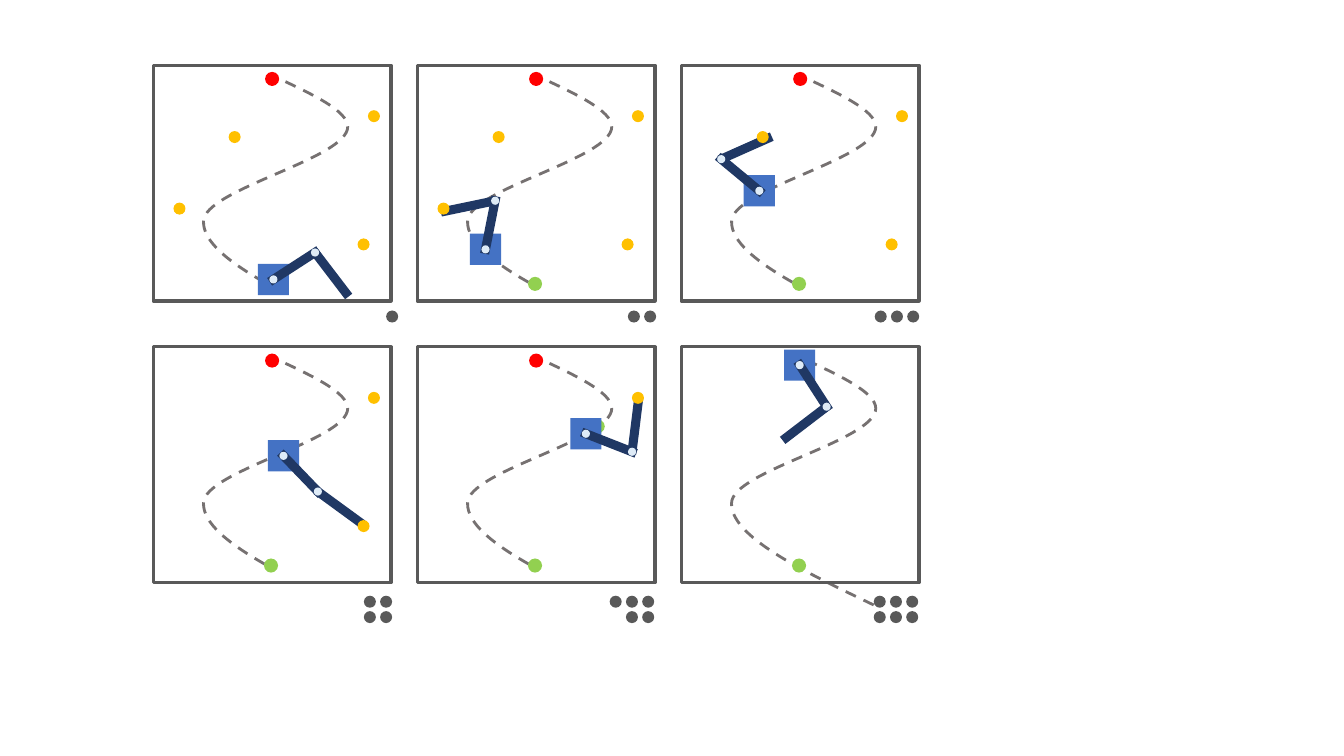
"""Build a slide of six frames in which a mobile arm collects goals along a track."""
import dataclasses
import math
import typing

import lxml.etree
import pptx
import pptx.dml.color
import pptx.enum.dml
import pptx.enum.shapes
import pptx.oxml.ns
import pptx.shapes.autoshape
import pptx.shapes.shapetree
import pptx.util

Pt = pptx.util.Pt
Kind = pptx.enum.shapes.MSO_SHAPE
Point = typing.Tuple[float, float]
Tree = pptx.shapes.shapetree.SlideShapes
Shape = pptx.shapes.autoshape.Shape


@dataclasses.dataclass(frozen=True)
class Theme:
    frame: str = "595959"
    track: str = "767171"
    start: str = "92D050"
    end: str = "FF0000"
    goal: str = "FFC000"
    base: str = "4472C4"
    arm: str = "203864"
    joint: str = "DEEBF7"


@dataclasses.dataclass(frozen=True)
class Panel:
    col: int
    row: int
    base: Point
    upper: float
    lower: float
    goals: str
    tally: typing.Tuple[int, ...]
    corner: Point
    starts: typing.Tuple[Point, ...]
    ends: typing.Tuple[Point, ...]
    head: typing.Tuple[Point, ...]

    def place(self, spot: Point) -> Point:
        return 109.4 + 188.6 * self.col + spot[0], 46.6 + 201.2 * self.row + spot[1]


THEME = Theme()
START, END = (84.2, 156.2), (85, 9.8)
GOALS = {"A": (18.8, 102.4), "B": (58.2, 51.3), "C": (157.7, 36.4), "D": (150.3, 128)}
SHORT = ((79.5, 155), (53.8, 140.4), (35.6, 125.9))
LONG = ((137.5, 184.3), (86.4, 159.8), (35.3, 135.4))
TAIL = ((36, 111.6), (36, 88.6), (139, 67), (139, 43.9),
        (139, 32.4), (113.1, 20.4), (87.2, 8.3))
FRAME = (169.9, 168.5)
BASE, BAR, JOINT, MARK, DOT = 22.3, 6.5, 5.8, 10.1, 8.6
STEP, DROP = 11.6, 11

PANELS = (
    Panel(0, 0, (85.9, 153), 327.1, 52.6, "ABCD", (1,), (170.7, 179.5), (), (END,), SHORT),
    Panel(1, 0, (48.8, 131.5), 281.2, 168.2, "ABCD", (2,), (166.4, 179.5),
          (START,), (END,), SHORT),
    Panel(2, 0, (55.8, 89.7), 219.7, 336, "BCD", (3,), (165.7, 179.5),
          (START,), (END,), SHORT),
    Panel(0, 1, (93.1, 77.8), 46.1, 36.1, "CD", (2, 2), (166.4, 182),
          (START,), (END,), SHORT),
    Panel(1, 1, (120.5, 62), 21.4, 277.1, "C", (3, 2), (165, 182),
          (START, (129, 56.8)), (END,), SHORT),
    Panel(2, 1, (84.6, 13), 57.1, 142.6, "", (3, 3), (165, 182), (START,), (), LONG),
)


def tint(code: str) -> pptx.dml.color.RGBColor:
    return pptx.dml.color.RGBColor.from_string(code)


def draw(tree: Tree, kind: Kind, mid: Point, size: Point, fill: str, turn: float = 0) -> Shape:
    left, top = mid[0] - size[0] / 2, mid[1] - size[1] / 2
    shape = tree.add_shape(kind, Pt(left), Pt(top), Pt(size[0]), Pt(size[1]))
    shape.shadow.inherit = False
    shape.rotation = turn
    shape.fill.solid()
    shape.fill.fore_color.rgb = tint(fill)
    shape.line.fill.background()
    return shape


def disc(tree: Tree, mid: Point, size: float, fill: str) -> None:
    draw(tree, Kind.OVAL, mid, (size, size), fill)


def outline(shape: Shape, code: str, width: float) -> None:
    shape.shadow.inherit = False
    shape.fill.background()
    shape.line.color.rgb = tint(code)
    shape.line.width = Pt(width)


def curve(shape: Shape) -> None:
    steps = shape._element.findall(".//" + pptx.oxml.ns.qn("a:lnTo"))
    for first in range(0, len(steps), 3):
        bend = lxml.etree.Element(pptx.oxml.ns.qn("a:cubicBezTo"))
        steps[first].addprevious(bend)
        for step in steps[first:first + 3]:
            bend.append(step[0])
            step.getparent().remove(step)


def track(tree: Tree, panel: Panel) -> None:
    first, *rest = [tuple(Pt(n) for n in panel.place(spot)) for spot in panel.head + TAIL]
    pen = tree.build_freeform(*first)
    pen.add_line_segments(rest, close=False)
    shape = pen.convert_to_shape()
    curve(shape)
    outline(shape, THEME.track, 2)
    shape.line.dash_style = pptx.enum.dml.MSO_LINE.DASH


def move(spot: Point, turn: float, reach: float) -> Point:
    angle = math.radians(turn)
    return spot[0] + reach * math.cos(angle), spot[1] + reach * math.sin(angle)


def robot(tree: Tree, panel: Panel) -> None:
    base = panel.place(panel.base)
    elbow = move(base, panel.upper, 35.4)
    draw(tree, Kind.RECTANGLE, base, (BASE, BASE), THEME.base)
    draw(tree, Kind.RECTANGLE, move(base, panel.upper, 17.7), (41.8, BAR),
         THEME.arm, panel.upper)
    disc(tree, base, JOINT, THEME.joint)
    draw(tree, Kind.RECTANGLE, move(elbow, panel.lower, 19.1), (41, BAR),
         THEME.arm, panel.lower)
    disc(tree, elbow, JOINT, THEME.joint)


def scene(tree: Tree, panel: Panel) -> None:
    left, top = panel.place((0, 0))
    mid = left + FRAME[0] / 2, top + FRAME[1] / 2
    outline(draw(tree, Kind.RECTANGLE, mid, FRAME, THEME.frame), THEME.frame, 2.25)
    for spot in panel.ends:
        disc(tree, panel.place(spot), MARK, THEME.end)
    for spot in panel.starts:
        disc(tree, panel.place(spot), MARK, THEME.start)
    robot(tree, panel)
    for name in panel.goals:
        disc(tree, panel.place(GOALS[name]), DOT, THEME.goal)
    for line, count in enumerate(panel.tally):
        for place in range(count):
            spot = panel.corner[0] - STEP * place, panel.corner[1] + DROP * line
            disc(tree, panel.place(spot), DOT, THEME.frame)


def main() -> None:
    deck = pptx.Presentation()
    deck.slide_width, deck.slide_height = Pt(960), Pt(540)
    tree = deck.slides.add_slide(deck.slide_layouts[6]).shapes
    for panel in PANELS:
        track(tree, panel)
    for panel in PANELS:
        scene(tree, panel)
    deck.save("out.pptx")


if __name__ == "__main__":
    main()
